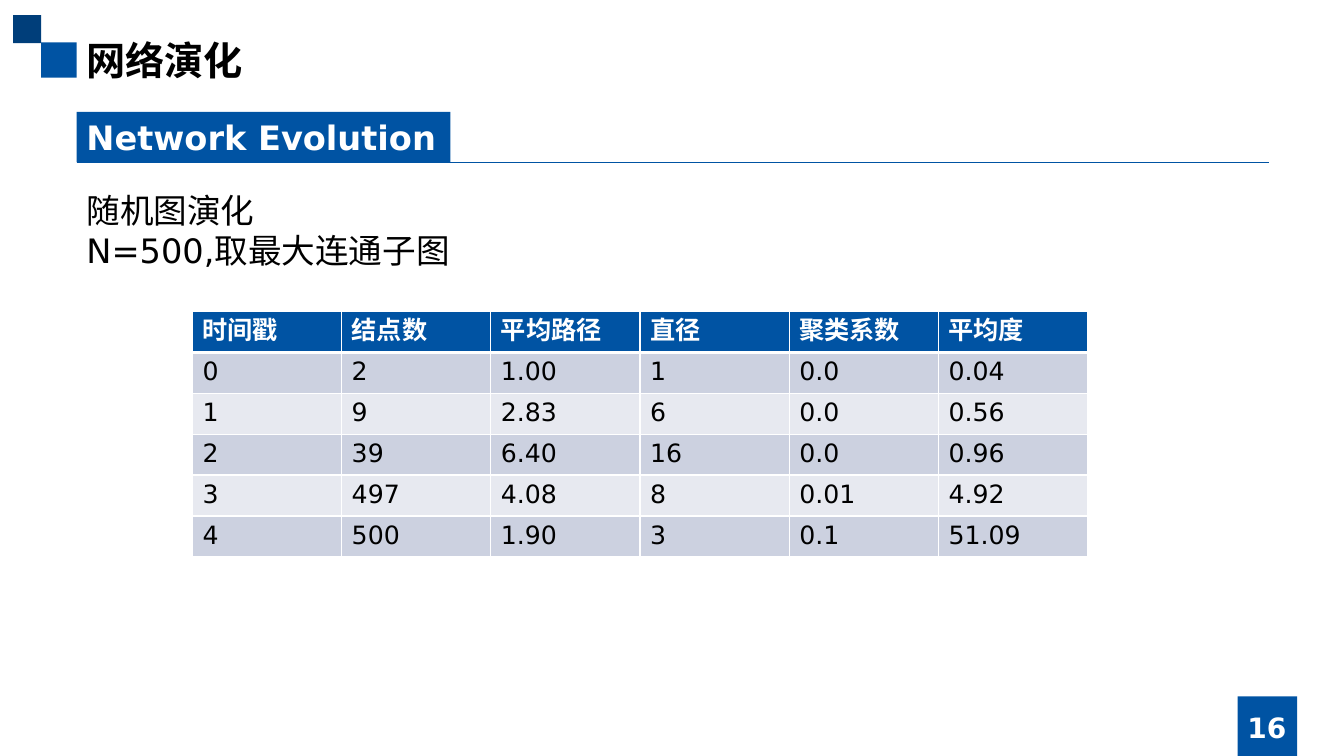
from lxml import etree
from pptx import Presentation
from pptx import util as u
from pptx.dml.color import RGBColor
from pptx.enum import shapes, text
from pptx.oxml.ns import qn

COLORS = {"blue": "0053A3", "navy": "003E7A", "white": "FFFFFF", "black": "000000",
          "band": "CCD1E0", "pale": "E7E9F0"}
LATIN, CHINESE = "DejaVu Sans", "Noto Sans CJK SC"
ROWS = [
    ["时间戳", "结点数", "平均路径", "直径", "聚类系数", "平均度"],
    ["0", "2", "1.00", "1", "0.0", "0.04"],
    ["1", "9", "2.83", "6", "0.0", "0.56"],
    ["2", "39", "6.40", "16", "0.0", "0.96"],
    ["3", "497", "4.08", "8", "0.01", "4.92"],
    ["4", "500", "1.90", "3", "0.1", "51.09"],
]


class SlideBuilder:
    """Draws styled elements on one slide."""

    def __init__(self, slide):
        self.slide = slide

    def color(self, name):
        return RGBColor.from_string(COLORS[name])

    def fill_text(self, frame, lines, size, color="black", bold=False, font=LATIN,
                  align=text.PP_ALIGN.LEFT):
        style = {"size": u.Pt(size), "bold": bold, "name": font}
        for index, line in enumerate(lines):
            paragraph = frame.add_paragraph() if index else frame.paragraphs[0]
            paragraph.alignment = align
            run = paragraph.add_run()
            run.text = line
            for key, value in style.items():
                setattr(run.font, key, value)
            run.font.color.rgb = self.color(color)
            etree.SubElement(run.font._element, qn("a:ea"), typeface=font)

    def box(self, place, fill):
        shape = self.slide.shapes.add_shape(
            shapes.MSO_SHAPE.RECTANGLE, *map(u.Cm, place))
        shape.shadow.inherit = False
        shape.fill.solid()
        shape.fill.fore_color.rgb = self.color(fill)
        shape.line.fill.background()
        return shape

    def label(self, place, lines, size, anchor=text.MSO_ANCHOR.TOP, **style):
        frame = self.slide.shapes.add_textbox(*map(u.Cm, place)).text_frame
        frame.word_wrap = True
        frame.vertical_anchor = anchor
        self.fill_text(frame, lines, size, **style)

    def banner(self, place, line, size):
        frame = self.box(place, "blue").text_frame
        frame.word_wrap = False
        frame.vertical_anchor = text.MSO_ANCHOR.TOP
        self.fill_text(frame, [line], size, "white", True)

    def rule(self, left, right, top):
        line = self.slide.shapes.add_connector(
            shapes.MSO_CONNECTOR.STRAIGHT, *map(u.Cm, (left, top, right, top)))
        line.line.color.rgb = self.color("blue")
        line.line.width = u.Pt(0.5)
        etree.SubElement(line._element.spPr, qn("a:effectLst"))

    def border(self, cell, side, width):
        line = etree.SubElement(cell._tc.get_or_add_tcPr(), qn(f"a:ln{side}"),
                                w=str(u.Pt(width)))
        fill = etree.SubElement(line, qn("a:solidFill"))
        etree.SubElement(fill, qn("a:srgbClr"), val=COLORS["white"])

    def table(self, left, top, column_width, row_height, rows):
        columns = len(rows[0])
        table = self.slide.shapes.add_table(
            len(rows), columns, u.Cm(left), u.Cm(top),
            u.Cm(column_width * columns), u.Cm(row_height * len(rows))).table
        for column in table.columns:
            column.width = u.Cm(column_width)
        for row_index, values in enumerate(rows):
            header = row_index == 0
            fill = "blue" if header else ("pale", "band")[row_index % 2]
            for column_index, value in enumerate(values):
                cell = table.cell(row_index, column_index)
                for side in "LRTB":
                    thick = (header and side == "B") or (row_index == 1 and side == "T")
                    self.border(cell, side, 3 if thick else 1)
                cell.fill.solid()
                cell.fill.fore_color.rgb = self.color(fill)
                self.fill_text(cell.text_frame, [value], 18,
                               "white" if header else "black", header)


def main():
    presentation = Presentation()
    presentation.slide_width, presentation.slide_height = u.Cm(33.87), u.Cm(19.05)
    builder = SlideBuilder(presentation.slides.add_slide(presentation.slide_layouts[6]))
    margin = 1.93
    builder.box((1.04, 1.07, 0.89, 0.89), "blue")
    builder.box((0.33, 0.38, 0.71, 0.71), "navy")
    builder.box((31.19, 17.55, 1.5, 1.5), "blue")
    builder.label((margin, 0.79, 30, 1.45), ["网络演化"], 28, bold=True, font=CHINESE)
    builder.label((30, 17.81, 3.86, 1.02), ["16"], 20, text.MSO_ANCHOR.MIDDLE,
                  color="white", bold=True, align=text.PP_ALIGN.CENTER)
    builder.banner((margin, 2.82, 9.42, 1.27), "Network Evolution", 24)
    builder.rule(margin, 31.98, 4.09)
    builder.label((margin, 4.65, 30.05, 10.52), ["随机图演化", "N=500,取最大连通子图"], 24)
    builder.table(4.85, 7.85, 3.76, 1.03, ROWS)
    presentation.save("out.pptx")


if __name__ == "__main__":
    main()
